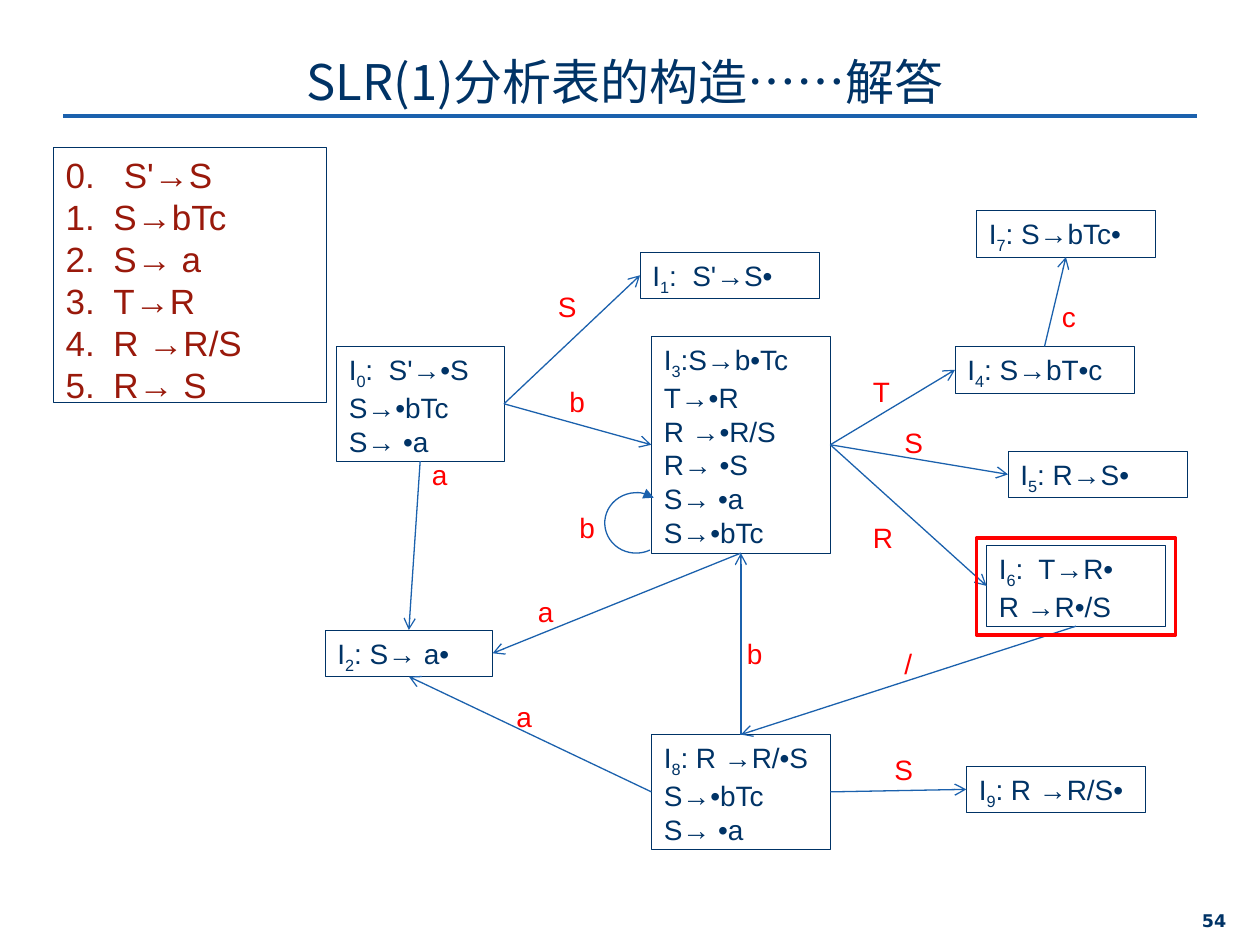
from typing import NamedTuple

import pptx
import pptx.util
import pptx.dml.color
import pptx.enum.shapes
import pptx.enum.text
import pptx.oxml.ns
from lxml import etree
from pptx.util import Inches

COLORS = {"navy": "003366", "blue": "1B61AD", "red": "FF0000",
          "brown": "99190B", "white": "FFFFFF"}
SHAPE = pptx.enum.shapes.MSO_SHAPE
ALIGN = pptx.enum.text.PP_ALIGN
ANCHOR = pptx.enum.text.MSO_ANCHOR
FIT = pptx.enum.text.MSO_AUTO_SIZE
TOP, LEFT, BOTTOM, RIGHT = range(4)
HANG = 0.38


class State(NamedTuple):
    x: float
    y: float
    w: float
    h: float
    items: tuple


class Edge(NamedTuple):
    start: int
    out: int
    end: int
    into: int
    label: str
    x: float
    y: float


RULES = ("0.   S'→S", "S→bTc", "S→ a", "T→R", "R →R/S", "R→ S")
STATES = (
    State(2.67, 2.75, 1.33, 0.91, (":  S'→•S", "S→•bTc", "S→ •a")),
    State(5.08, 2, 1.42, 0.37, (":  S'→S•",)),
    State(2.58, 5, 1.33, 0.37, (": S→ a•",)),
    State(5.17, 2.67, 1.42, 1.72, (":S→b•Tc", "T→•R", "R →•R/S",
                                   "R→ •S", "S→ •a", "S→•bTc")),
    State(7.58, 2.75, 1.42, 0.37, (": S→bT•c",)),
    State(8, 3.58, 1.42, 0.37, (": R→S•",)),
    State(7.83, 4.33, 1.42, 0.64, (":  T→R•", "R →R•/S")),
    State(7.75, 1.67, 1.42, 0.37, (": S→bTc•",)),
    State(5.17, 5.83, 1.42, 0.91, (": R →R/•S", "S→•bTc", "S→ •a")),
    State(7.67, 6.08, 1.42, 0.37, (": R →R/S•",)),
)
EDGES = (
    Edge(0, RIGHT, 1, LEFT, "S", 4.33, 2.25),
    Edge(0, BOTTOM, 2, TOP, "a", 3.33, 3.58),
    Edge(0, RIGHT, 3, LEFT, "b", 4.42, 3),
    Edge(3, BOTTOM, 2, RIGHT, "a", 4.17, 4.67),
    Edge(3, RIGHT, 4, LEFT, "T", 6.83, 2.92),
    Edge(3, RIGHT, 5, LEFT, "S", 7.08, 3.33),
    Edge(3, RIGHT, 6, LEFT, "R", 6.83, 4.08),
    Edge(4, TOP, 7, BOTTOM, "c", 8.33, 2.33),
    Edge(6, BOTTOM, 8, TOP, "/", 7.08, 5.08),
    Edge(8, RIGHT, 9, LEFT, "S", 7, 5.92),
    Edge(8, TOP, 3, BOTTOM, "b", 5.83, 5),
    Edge(8, LEFT, 2, BOTTOM, "a", 4, 5.5),
)


def rgb(name: str):
    return pptx.dml.color.RGBColor.from_string(COLORS[name])


def sub(parent, tag: str, **attrs: str):
    return etree.SubElement(parent, pptx.oxml.ns.qn(tag), **attrs)


def place(shape, x: float, y: float, w: float, h: float) -> None:
    shape.left, shape.top = Inches(x), Inches(y)
    shape.width, shape.height = Inches(w), Inches(h)


def write(para, text: str, size: float, color: str, face: str = "Arial"):
    run = para.add_run()
    run.text = text
    run.font.size = pptx.util.Pt(size)
    run.font.name = face
    run.font.color.rgb = rgb(color)
    return run


def frame(shape, color: str, width: float) -> None:
    shape.line.color.rgb = rgb(color)
    shape.line.width = pptx.util.Pt(width)


def fill(shape) -> None:
    shape.fill.solid()
    shape.fill.fore_color.rgb = rgb("white")


def next_para(text, index: int):
    """Return the left-aligned paragraph at index, with a hanging indent."""
    para = text.add_paragraph() if index else text.paragraphs[0]
    para.alignment = ALIGN.LEFT
    para.space_before = pptx.util.Pt(0)
    props = para._p.get_or_add_pPr()
    props.set("marL", str(Inches(HANG)))
    props.set("indent", str(Inches(-HANG)))
    return para


def add_title(slide) -> None:
    title = slide.shapes.title
    place(title, 0.92, 0.33, 8.08, 0.62)
    text = title.text_frame
    text.auto_size = FIT.NONE
    text.vertical_anchor = ANCHOR.MIDDLE
    para = text.paragraphs[0]
    para.alignment = ALIGN.CENTER
    face = "Noto Sans CJK SC"
    run = write(para, "SLR(1)分析表的构造……解答", 28, "navy", face)
    sub(run._r.get_or_add_rPr(), "a:ea", typeface=face)


def add_rules(body) -> None:
    place(body, 0.42, 1.17, 2.17, 2.12)
    fill(body)
    frame(body, "navy", 0.25)
    text = body.text_frame
    text.auto_size = FIT.SHAPE_TO_FIT_TEXT
    for i, rule in enumerate(RULES):
        para = next_para(text, i)
        props = para._p.get_or_add_pPr()
        if i:
            sub(props, "a:buFont", typeface="+mj-lt")
            sub(props, "a:buAutoNum", type="arabicPeriod")
        else:
            sub(props, "a:buNone")
        write(para, rule, 20, "brown")


def add_state(slide, index: int, state: State):
    box = slide.shapes.add_shape(SHAPE.RECTANGLE, *map(Inches, state[:4]))
    box.shadow.inherit = False
    fill(box)
    frame(box, "navy", 0.25)
    text = box.text_frame
    text.word_wrap = True
    text.vertical_anchor = ANCHOR.TOP
    text.auto_size = FIT.SHAPE_TO_FIT_TEXT
    for i, item in enumerate(state.items):
        para = next_para(text, i)
        if i == 0:
            write(para, "I", 16, "navy")
            low = write(para, str(index), 16, "navy")
            low._r.get_or_add_rPr().set("baseline", "-25000")
        write(para, item, 16, "navy")
    return box


def add_line(slide, width: float, ends=(0, 0, 0, 0)):
    kind = pptx.enum.shapes.MSO_CONNECTOR.STRAIGHT
    line = slide.shapes.add_connector(kind, *map(Inches, ends))
    frame(line, "blue", width)
    sub(line._element.spPr, "a:effectLst")
    return line


def add_label(slide, text: str, x: float, y: float) -> None:
    box = slide.shapes.add_textbox(*map(Inches, (x, y, 0.5, 0.37)))
    box.text_frame.word_wrap = True
    write(box.text_frame.paragraphs[0], text, 16, "red")


def add_edge(slide, boxes: list, edge: Edge) -> None:
    line = add_line(slide, 0.75)
    line.begin_connect(boxes[edge.start], edge.out)
    line.end_connect(boxes[edge.end], edge.into)
    sub(line.line._get_or_add_ln(), "a:tailEnd", type="arrow")
    add_label(slide, edge.label, edge.x, edge.y)


def add_loop(slide) -> None:
    loop = slide.shapes.add_shape(
        SHAPE.ARC, *map(Inches, (4.81, 3.9, 0.48, 0.5)))
    loop.rotation = 267.1
    loop.adjustments[0], loop.adjustments[1] = 93.738, 22.67
    loop.shadow.inherit = False
    loop.fill.background()
    frame(loop, "blue", 0.75)
    sub(loop.line._get_or_add_ln(), "a:tailEnd", type="triangle")
    add_label(slide, "b", 4.5, 4)


def add_mark(slide) -> None:
    """Ring the state that holds the conflict."""
    mark = slide.shapes.add_shape(
        SHAPE.RECTANGLE, *map(Inches, (7.75, 4.27, 1.58, 0.77)))
    mark.shadow.inherit = False
    mark.fill.background()
    frame(mark, "red", 2)


def add_number(slide) -> None:
    box = slide.shapes.add_textbox(*map(Inches, (7.5, 7.17, 2.33, 0.28)))
    box.text_frame.word_wrap = True
    para = box.text_frame.paragraphs[0]
    para.alignment = ALIGN.RIGHT
    write(para, "54", 10, "navy", "DejaVu Sans").font.bold = True


def main() -> None:
    deck = pptx.Presentation()
    deck.slide_width, deck.slide_height = Inches(10), Inches(7.5)
    slide = deck.slides.add_slide(deck.slide_layouts[1])
    add_line(slide, 2.25, (0.5, 0.92, 9.5, 0.92))
    add_title(slide)
    add_number(slide)
    add_rules(slide.placeholders[1])
    boxes = [add_state(slide, i, state) for i, state in enumerate(STATES)]
    for edge in EDGES:
        add_edge(slide, boxes, edge)
    add_loop(slide)
    add_mark(slide)
    deck.save("out.pptx")


if __name__ == "__main__":
    main()
